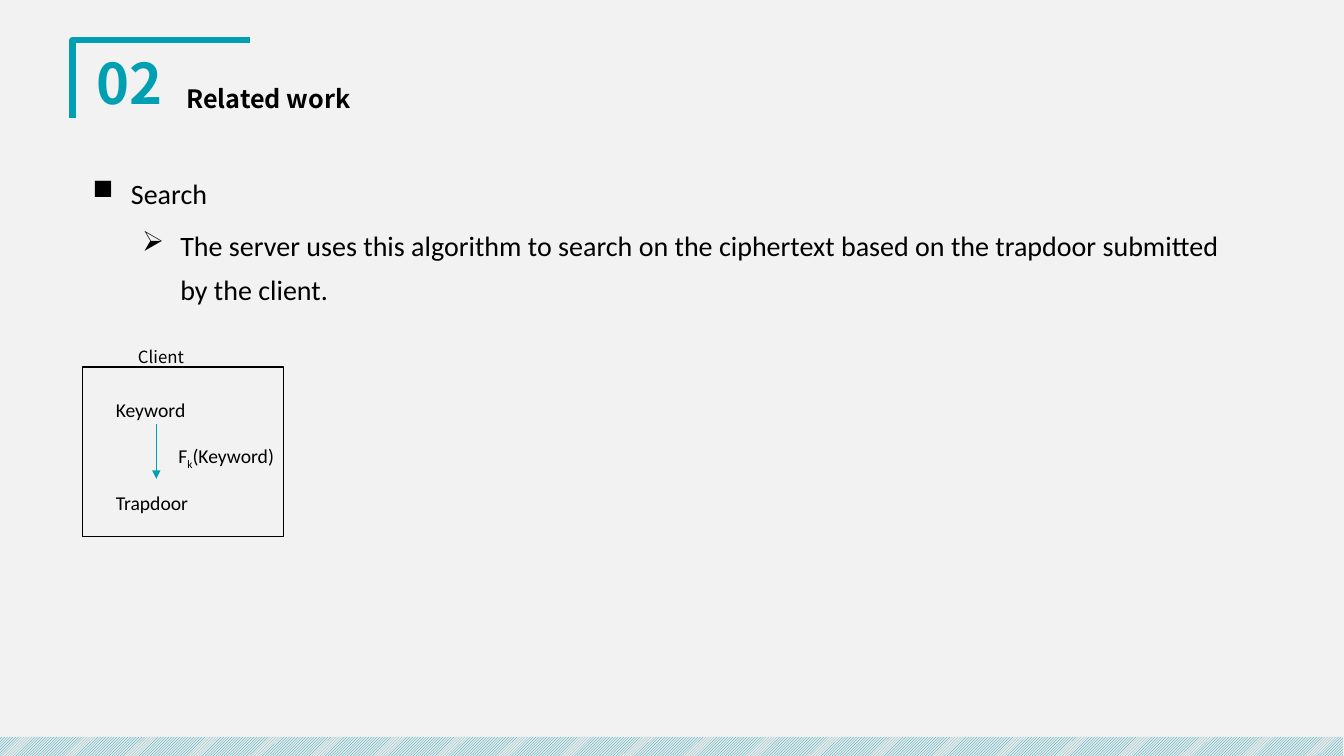
"""Build the "Related work" slide on searching ciphertext with a trapdoor."""
import pptx
import pptx.dml.color
import pptx.enum.dml
import pptx.enum.shapes
import pptx.enum.text
import pptx.oxml
import pptx.oxml.ns
import pptx.util
from pptx.util import Inches

TEAL, BLACK, PAPER, GREY = "009FB1", "000000", "F2F2F2", "E9E9E9"
HEADING_FONT, BODY_FONT = "Noto Sans CJK SC", "Calibri"
ALIGN = pptx.enum.text.PP_ALIGN
ANCHOR = pptx.enum.text.MSO_ANCHOR
AUTO_SIZE = pptx.enum.text.MSO_AUTO_SIZE
RECTANGLE = pptx.enum.shapes.MSO_SHAPE.RECTANGLE


def color(value):
    return pptx.dml.color.RGBColor.from_string(value)


def add_text(place, paragraphs, frame_format, para_format, font_format, ink=BLACK):
    box = page.shapes.add_textbox(*map(Inches, place))
    for name, value in frame_format.items():
        setattr(box.text_frame, name, value)
    for index, pieces in enumerate(paragraphs):
        para = box.text_frame.paragraphs[0] if index == 0 else box.text_frame.add_paragraph()
        for name, value in para_format.items():
            setattr(para, name, value)
        for piece in pieces:
            span = para.add_run()
            span.text = piece
            span.font.color.rgb = color(ink)
            for name, value in font_format.items():
                setattr(span.font, name, value)
    return box


deck = pptx.Presentation()
deck.slide_width, deck.slide_height = Inches(13.33), Inches(7.5)
page = deck.slides.add_slide(deck.slide_layouts[6])
page.background.fill.solid()
page.background.fill.fore_color.rgb = color(PAPER)

outline = page.shapes.build_freeform(Inches(0.72), Inches(1.17))
outline.add_line_segments([(Inches(0.72), Inches(0.4)), (Inches(2.48), Inches(0.4))], close=False)
bracket = outline.convert_to_shape()
bracket.shadow.inherit = False
bracket.fill.background()
bracket.line.color.rgb = color(TEAL)
bracket.line.width = pptx.util.Pt(4.5)

footer = page.shapes.add_shape(RECTANGLE, Inches(-0.03), Inches(7.31), Inches(13.35), Inches(0.22))
footer.shadow.inherit = False
footer.fill.patterned()
footer.fill.pattern = pptx.enum.dml.MSO_PATTERN.LIGHT_UPWARD_DIAGONAL
footer.fill.fore_color.rgb = color(TEAL)
footer.fill.back_color.rgb = color(GREY)
footer.line.fill.background()

client_frame = page.shapes.add_shape(RECTANGLE, Inches(0.82), Inches(3.64), Inches(1.99), Inches(1.68))
client_frame.shadow.inherit = False
client_frame.fill.solid()
client_frame.fill.fore_color.rgb = color(PAPER)
client_frame.line.color.rgb = color(BLACK)
client_frame.line.width = pptx.util.Pt(1)

heading_frame = {"word_wrap": True, "vertical_anchor": ANCHOR.MIDDLE}
heading_para = {"line_spacing": 0.9, "space_before": pptx.util.Pt(10)}
heading_font = {"name": HEADING_FONT, "bold": True}
add_text((0.82, 0.49, 0.93, 0.73), [["02"]], heading_frame,
         {**heading_para, "alignment": ALIGN.CENTER},
         {**heading_font, "size": pptx.util.Pt(40)}, TEAL)
add_text((1.75, 0.78, 2.67, 0.44), [["Related work"]], heading_frame, heading_para,
         {**heading_font, "size": pptx.util.Pt(18)})

body_frame = {"word_wrap": True, "auto_size": AUTO_SIZE.SHAPE_TO_FIT_TEXT}
body_para = {"line_spacing": 1.3, "space_before": pptx.util.Pt(6)}
body_font = {"name": BODY_FONT, "size": pptx.util.Pt(20)}
label_font = {"name": BODY_FONT, "size": pptx.util.Pt(14)}
client_font = {"name": HEADING_FONT, "size": pptx.util.Pt(12)}

summary = add_text(
    (0.82, 1.6, 11.62, 1.46),
    [["Search"], ["The server uses this algorithm to search on the ciphertext "
                  "based on the trapdoor submitted by the client."]],
    body_frame, body_para, body_font)
bullets = [("■", 0.38), ("➢", 0.87)]
for level, (para, (symbol, margin)) in enumerate(zip(summary.text_frame.paragraphs, bullets)):
    para.level = level
    properties = para._p.get_or_add_pPr()
    properties.set("marL", str(Inches(margin)))
    properties.set("indent", str(Inches(-0.38)))
    bullet = pptx.oxml.parse_xml(f'<a:buChar {pptx.oxml.ns.nsdecls("a")} char="{symbol}"/>')
    properties.append(bullet)

keyword = add_text((1.05, 3.83, 1, 0.38), [["Keyword"]], body_frame, body_para, label_font)
trapdoor = add_text((1.05, 4.75, 1, 0.38), [["Trapdoor"]], body_frame, body_para, label_font)

arrow = page.shapes.add_connector(pptx.enum.shapes.MSO_CONNECTOR.STRAIGHT,
                                  Inches(1.55), Inches(4.21), Inches(1.55), Inches(4.75))
arrow.begin_connect(keyword, 2)
arrow.end_connect(trapdoor, 0)
arrow.line.color.rgb = color(TEAL)
arrow.line.width = pptx.util.Pt(0.5)
arrow.line._get_or_add_ln().append(
    pptx.oxml.parse_xml(f'<a:tailEnd {pptx.oxml.ns.nsdecls("a")} type="triangle"/>'))
arrow._element.spPr.append(pptx.oxml.parse_xml(f'<a:effectLst {pptx.oxml.ns.nsdecls("a")}/>'))

function = add_text((1.67, 4.28, 1.26, 0.38), [["F", "k", "(Keyword)"]],
                    body_frame, body_para, label_font)
subscript = function.text_frame.paragraphs[0].runs[1]
subscript._r.get_or_add_rPr().set("baseline", "-25000")

add_text((1.27, 3.33, 1.16, 0.34), [["Client"]], body_frame, body_para, client_font)

deck.save("out.pptx")
